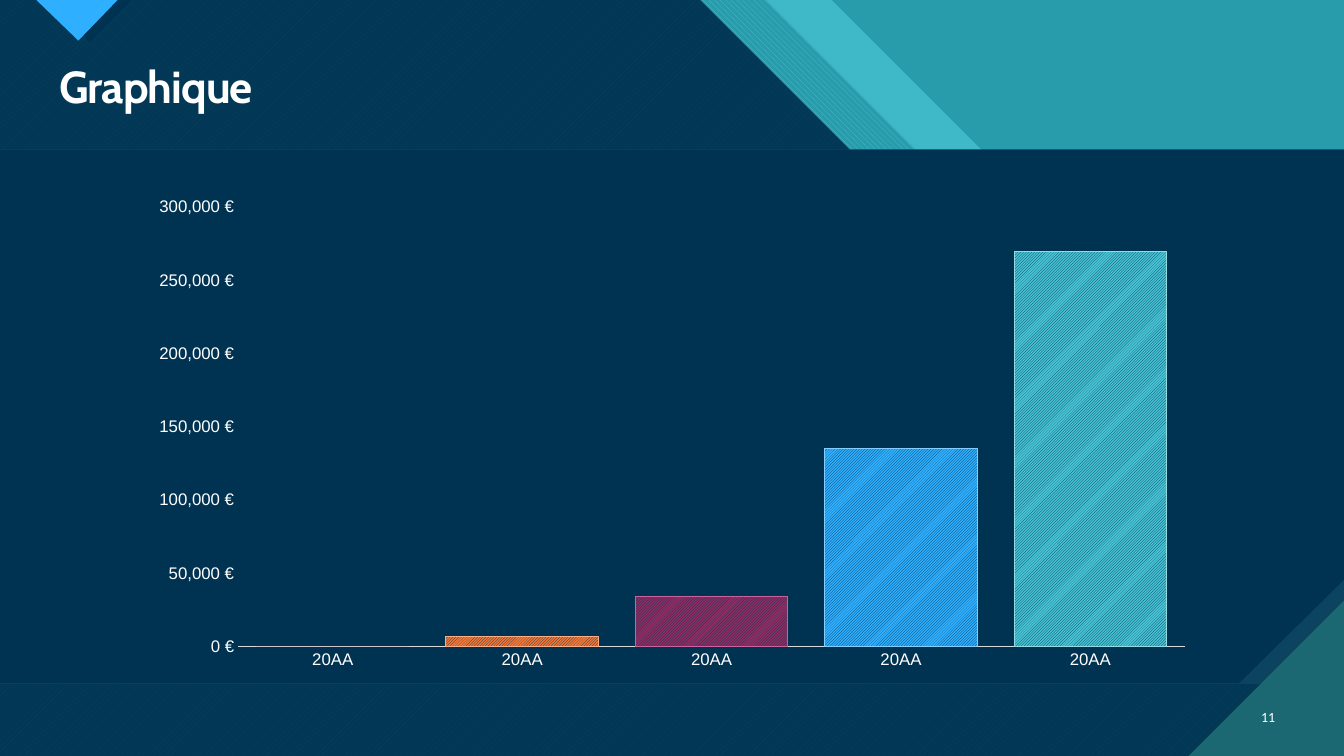
from lxml import etree
from pptx import Presentation
from pptx import util as u
from pptx.chart import data
from pptx.dml.color import RGBColor
from pptx.enum import chart as ch, dml, shapes, text
from pptx.oxml import ns

Pt = u.Pt
NAVY, TEAL, AQUA, PINE = "003352", "299CAB", "47C3D3", "1B6872"
WHITE = "FFFFFF"


def color(code):
    return RGBColor.from_string(code)


class Deck:
    def __init__(self, show):
        self.slide = show.slides.add_slide(show.slide_layouts[6])
        self.shapes = self.slide.shapes

    def solid(self, fill, code, alpha=100):
        fill.solid()
        fill.fore_color.rgb = color(code)
        if alpha < 100:
            tag = fill._xPr.find(".//" + ns.qn("a:srgbClr"))
            etree.SubElement(tag, ns.qn("a:alpha"), val=str(alpha * 1000))

    def hatch(self, fill, kind, fore, back):
        fill.patterned()
        fill.pattern = kind
        fill.fore_color.rgb = color(fore)
        fill.back_color.rgb = color(back)

    def poly(self, points, code, alpha=100, kind=None, back=None):
        pen = self.shapes.build_freeform(*points[0], scale=Pt(1))
        pen.add_line_segments(points[1:])
        shape = pen.convert_to_shape()
        shape.shadow.inherit = False
        shape.line.fill.background()
        if kind:
            self.hatch(shape.fill, kind, code, back)
        else:
            self.solid(shape.fill, code, alpha)

    def rect(self, x, y, w, h, code):
        shape = self.shapes.add_shape(
            shapes.MSO_SHAPE.RECTANGLE, Pt(x), Pt(y), Pt(w), Pt(h))
        shape.shadow.inherit = False
        shape.line.fill.background()
        self.solid(shape.fill, code)

    def label(self, words, x, y, w, h, face, size, bold=False, align=None):
        box = self.shapes.add_textbox(Pt(x), Pt(y), Pt(w), Pt(h))
        frame = box.text_frame
        frame.word_wrap = True
        frame.vertical_anchor = text.MSO_ANCHOR.MIDDLE
        para = frame.paragraphs[0]
        para.alignment = align
        run = para.add_run()
        run.text = words
        self.font(run.font, face, size)
        run.font.bold = bold
        return para, run

    def font(self, font, face, size):
        font.name, font.size = face, Pt(size)
        font.color.rgb = color(WHITE)

    def bars(self, x, y, w, h, cats, vals, tints):
        info = data.CategoryChartData()
        info.categories = cats
        info.add_series("Series 1", vals)
        chart = self.shapes.add_chart(
            ch.XL_CHART_TYPE.COLUMN_CLUSTERED,
            Pt(x), Pt(y), Pt(w), Pt(h), info).chart
        chart.has_legend = chart.has_title = False
        self.font(chart.font, "Arial", 12)
        for axis in (chart.category_axis, chart.value_axis):
            axis.has_major_gridlines = False
            axis.major_tick_mark = ch.XL_TICK_MARK.NONE
            axis.minor_tick_mark = ch.XL_TICK_MARK.NONE
            self.font(axis.tick_labels.font, "Arial", 12)
        line = chart.category_axis.format.line
        line.color.rgb = color("D9D9D9")
        line.width = Pt(0.75)
        axis = chart.value_axis
        axis.format.line.fill.background()
        axis.minimum_scale, axis.maximum_scale = 0, 300000
        axis.major_unit = 50000
        axis.tick_labels.number_format = '#,##0\\ "€"'
        axis.tick_labels.number_format_is_linked = False
        plot = chart.plots[0]
        plot.gap_width = 24
        plot.vary_by_categories = False
        series = plot.series[0]
        self.solid(series.format.fill, "8F2D63")
        for spot, (tint, edge) in enumerate(tints, 1):
            form = series.points[spot].format
            self.hatch(form.fill, dml.MSO_PATTERN.LIGHT_UPWARD_DIAGONAL,
                       NAVY, tint)
            form.line.color.rgb = color(edge)
            form.line.width = Pt(0.75)


def band(x):
    return [(0, 0), (x, 0), (x + 214, 214), (x + 305, 214),
            (960, 869 - x), (960, 540), (0, 540)]


def wedge(x, half):
    return [(x - half, 0), (x + half, 0), (x, half)]


show = Presentation()
show.slide_width, show.slide_height = Pt(960), Pt(540)
deck = Deck(show)

deck.rect(0, 0, 960, 540, TEAL)
deck.poly(band(594), AQUA, alpha=74)
deck.poly(band(547), AQUA, kind=dml.MSO_PATTERN.WIDE_DOWNWARD_DIAGONAL,
          back=TEAL)
deck.poly(band(500), AQUA, kind=dml.MSO_PATTERN.WIDE_UPWARD_DIAGONAL,
          back=PINE)
deck.poly(band(500), NAVY, alpha=90)
deck.poly(wedge(64.5, 29.5), NAVY)
deck.poly(wedge(55.5, 29), "2FAFFF")

top, base, cut = 106.8, 488.5, 75
deck.rect(0, top, 960, base - top, "0C4360")
deck.poly([(0, top), (960, top), (960, base - cut), (960 - cut, base),
           (0, base)], NAVY)
deck.poly([(849, 540), (960, 540), (960, 429)], PINE)

para, run = deck.label("Graphique", 35.3, 42.5, 882.7, 42.5,
                       "Cabin", 32, bold=True)
para.line_spacing = 0.9
run.font._element.set("spc", "-70")
deck.bars(98.6, 134.6, 763.2, 350, ["20AA"] * 5,
          [0, 7000, 34000, 135000, 270000],
          [("F47735", "F8AD86"), ("8F2D63", "CB62A0"),
           ("2FAFFF", "82CFFF"), (AQUA, "91DBE5")])
deck.label("11", 886.3, 497.5, 31.7, 28.8, "Calibri", 10,
           align=text.PP_ALIGN.RIGHT)

show.save("out.pptx")
